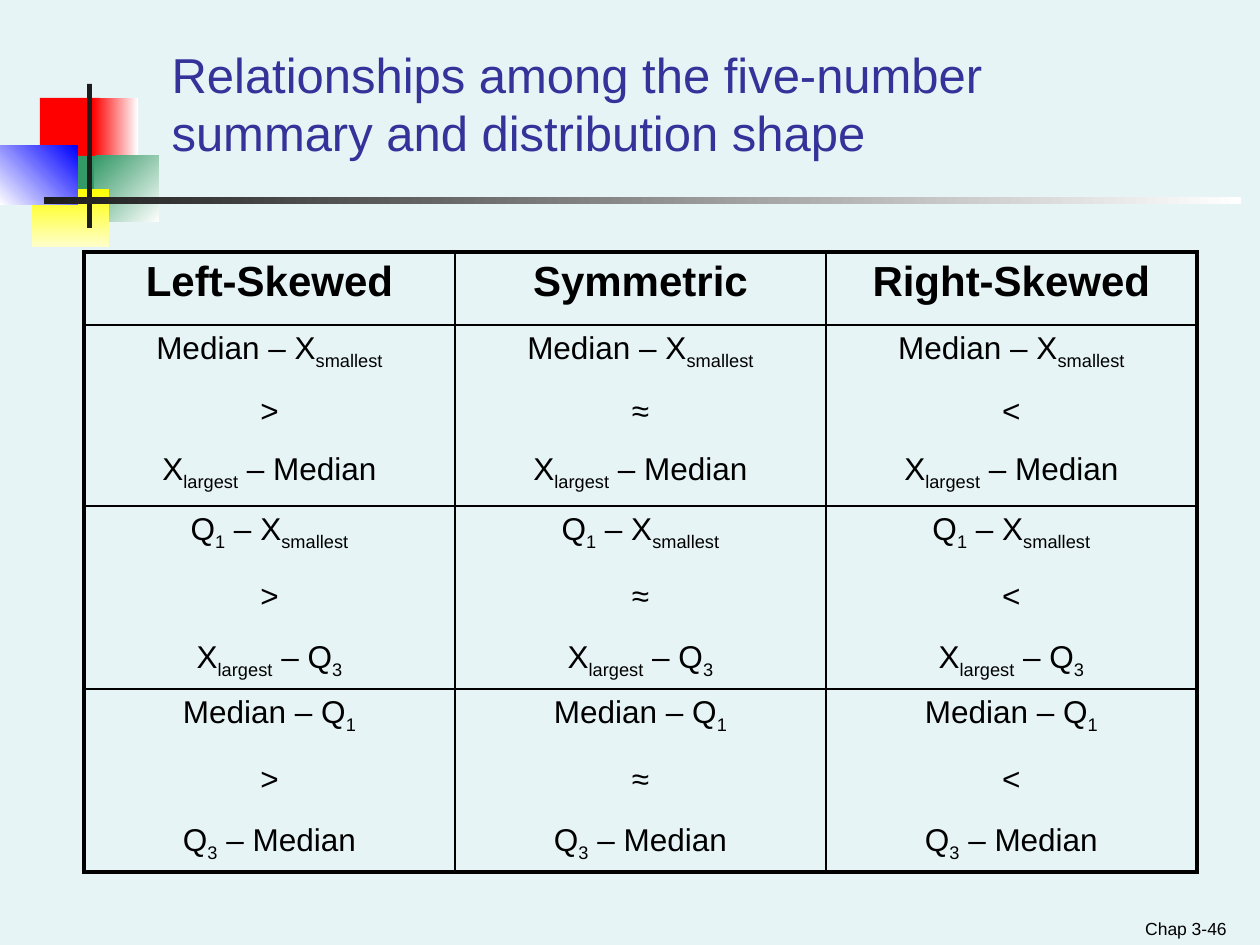
from lxml import etree
from pptx import Presentation
from pptx.dml.color import RGBColor
from pptx.enum.shapes import MSO_SHAPE
from pptx.enum.text import MSO_ANCHOR, MSO_AUTO_SIZE, PP_ALIGN
from pptx.oxml.ns import qn
from pptx.util import Pt

RECT = MSO_SHAPE.RECTANGLE
BOTTOM = MSO_ANCHOR.BOTTOM
NO_FIT = MSO_AUTO_SIZE.NONE
LEFT, CENTER, RIGHT = PP_ALIGN.LEFT, PP_ALIGN.CENTER, PP_ALIGN.RIGHT

# Content: text between bars is subscript
TITLE = "Relationships among the five-number summary and distribution shape"
PAGE = "Chap 3-46"
HEADS = ["Left-Skewed", "Symmetric", "Right-Skewed"]
SIGNS = [">", "≈", "<"]
PAIRS = [
    ("Median – X|smallest", "X|largest| – Median"),
    ("Q|1| – X|smallest", "X|largest| – Q|3"),
    ("Median – Q|1", "Q|3| – Median"),
]
GAPS = [13, 15, 15]  # points between lines, per row

# Style
FONT = "Arial"
COLORS = {
    "back": "E7F4F5", "title": "333399", "text": "000000", "red": "FF0000",
    "green": "339966", "yellow": "FFFF00", "cream": "FFFFCC",
    "blue": "0000FF", "dark": "1C1C1C", "white": "FFFFFF",
}

# Layout in px: left, top, width, height
SCALE = 914400 / 126
TITLE_BOX = (159, 32, 1017, 136)
PAGE_BOX = (945, 901, 294, 44)
TABLE_BOX = (84, 252, 1113, 620)
ROWS = [73, 181, 183, 183]
# Box, start colour, end colour, clockwise angle
BLOCKS = [
    ((40, 98, 60, 66), "red", None, 0),
    ((93, 98, 45, 66), "red", "white", 0),
    ((94, 156, 65, 66), "green", "white", 45),
    ((54, 156, 40, 66), "green", None, 0),
    ((32, 189, 77, 58), "yellow", "cream", 90),
    ((0, 146, 78, 59), "white", "blue", 315),
    ((87, 84, 5, 144), "dark", None, 0),
    ((44, 197, 1197, 7), "dark", "white", 0),
]


def emu(px):
    return round(px * SCALE)


def place(box):
    return [emu(n) for n in box]


def color(name):
    return RGBColor.from_string(COLORS[name])


def style(font, size, name="text", bold=False):
    font.name, font.size, font.bold = FONT, Pt(size), bold
    font.color.rgb = color(name)


def add_block(box, start, end, angle):
    shape = slide.shapes.add_shape(RECT, *place(box))
    shape.shadow.inherit = False
    shape.line.fill.background()
    if end is None:
        shape.fill.solid()
        shape.fill.fore_color.rgb = color(start)
        return
    shape.fill.gradient()
    shape.fill.gradient_angle = (360 - angle) % 360
    for stop, name in zip(shape.fill.gradient_stops, (start, end)):
        stop.color.rgb = color(name)


def set_text(frame, text, size, name, align):
    frame.word_wrap = True
    frame.auto_size = NO_FIT
    frame.vertical_anchor = BOTTOM
    frame.text = text
    para = frame.paragraphs[0]
    para.alignment = align
    style(para.runs[0].font, size, name)


def write(para, text, size, bold=False):
    para.alignment = CENTER
    for i, part in enumerate(text.split("|")):
        run = para.add_run()
        run.text = part
        style(run.font, size, bold=bold)
        if i % 2:
            run.font._element.set("baseline", "-25000")


def add_borders(cell, outer):
    props = cell._tc.get_or_add_tcPr()
    for side in "LRTB":
        width = 2.25 if side in outer else 1
        line = etree.SubElement(props, qn(f"a:ln{side}"), w=str(Pt(width)))
        fill = etree.SubElement(line, qn("a:solidFill"))
        etree.SubElement(fill, qn("a:srgbClr"), val=COLORS["text"])
    cell.fill.background()


deck = Presentation()
deck.slide_width, deck.slide_height = emu(1260), emu(945)
slide = deck.slides.add_slide(deck.slide_layouts[5])
slide.background.fill.solid()
slide.background.fill.fore_color.rgb = color("back")

# Corner ornament
for block in BLOCKS:
    add_block(*block)

# Title and page mark
title = slide.shapes.title
title.left, title.top, title.width, title.height = place(TITLE_BOX)
set_text(title.text_frame, TITLE, 28, "title", LEFT)
mark = slide.shapes.add_textbox(*place(PAGE_BOX))
set_text(mark.text_frame, PAGE, 10, "text", RIGHT)

# Table
last_row, last_col = len(PAIRS), len(HEADS) - 1
table = slide.shapes.add_table(
    len(ROWS), len(HEADS), *place(TABLE_BOX)).table
table.first_row = table.horz_banding = False
for row, high in zip(table.rows, ROWS):
    row.height = emu(high)
for c, (head, sign) in enumerate(zip(HEADS, SIGNS)):
    table.columns[c].width = emu(TABLE_BOX[2] / len(HEADS))
    write(table.cell(0, c).text_frame.paragraphs[0], head, 24, True)
    for r, ((low, high), gap) in enumerate(zip(PAIRS, GAPS), 1):
        frame = table.cell(r, c).text_frame
        write(frame.paragraphs[0], low, 18)
        for text in (sign, high):
            para = frame.add_paragraph()
            para.space_before = Pt(gap)
            write(para, text, 18)
    for r in range(len(ROWS)):
        edges = {"L": c == 0, "R": c == last_col,
                 "T": r == 0, "B": r == last_row}
        add_borders(table.cell(r, c), [k for k, on in edges.items() if on])

deck.save("out.pptx")
